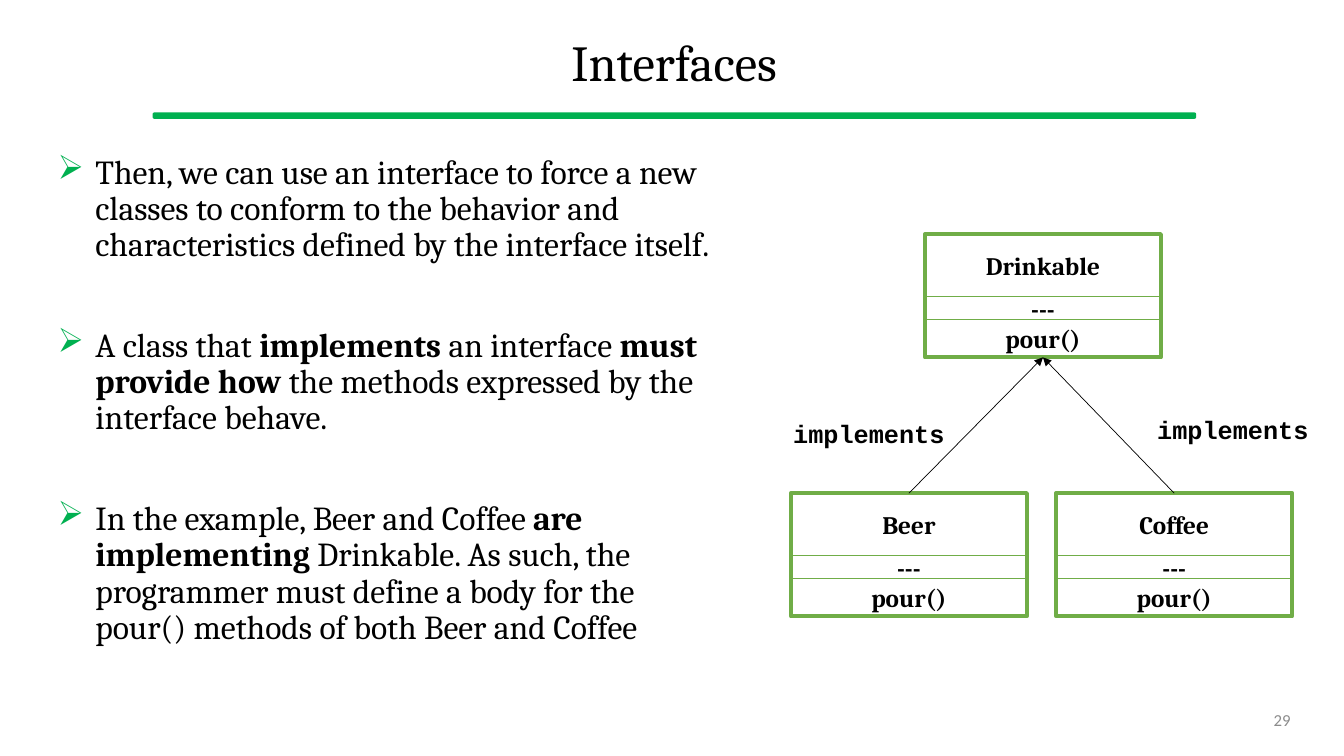
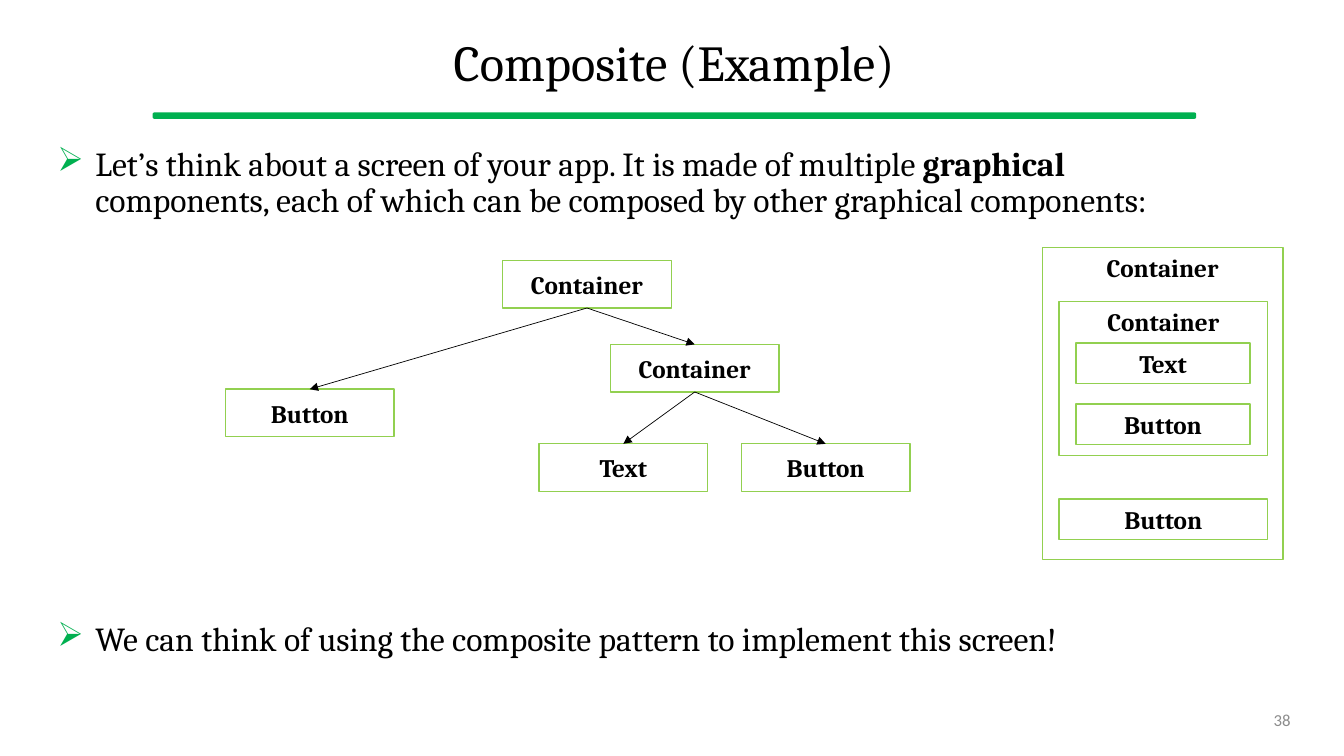
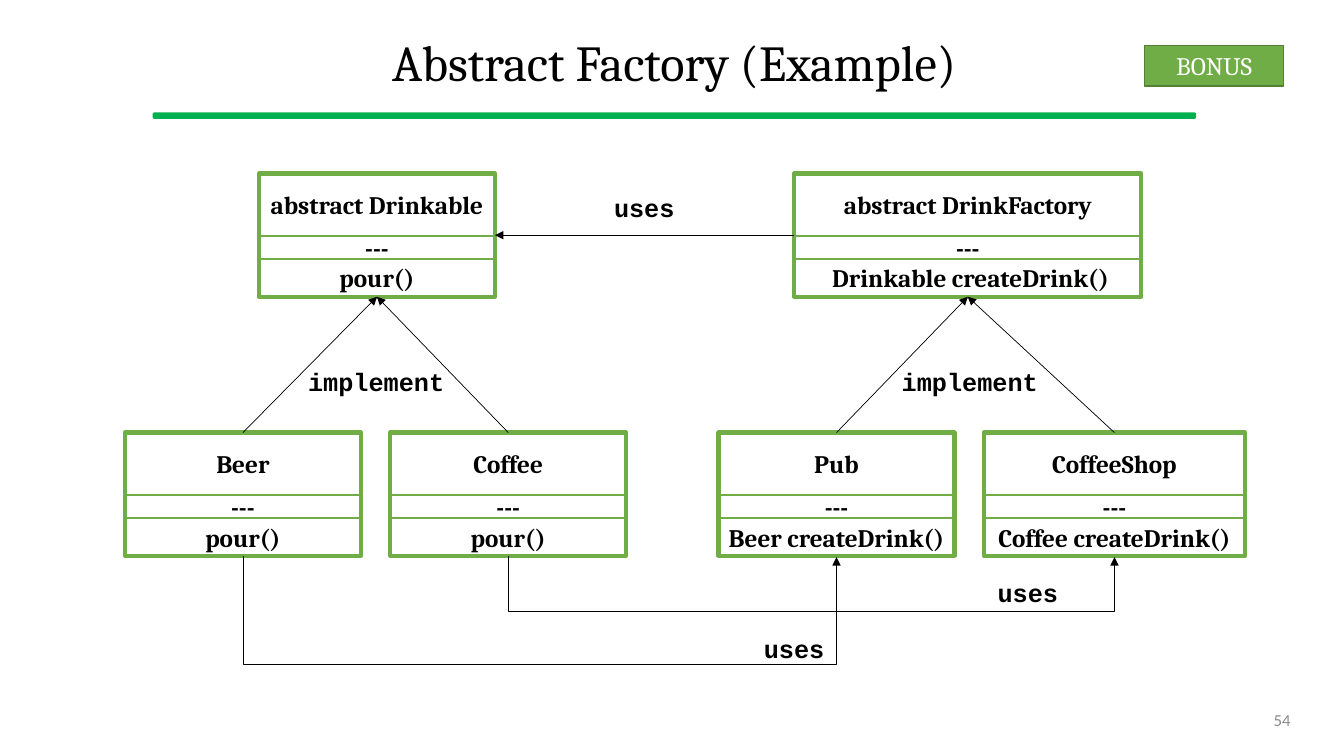
from pptx import Presentation
from pptx.dml.color import RGBColor
from pptx.enum.shapes import MSO_CONNECTOR as Wire, MSO_SHAPE as Geo
from pptx.enum.text import MSO_ANCHOR as Anchor, PP_ALIGN as Align
from pptx.oxml import parse_xml
from pptx.oxml.ns import nsdecls, qn
from pptx.util import Pt

INK, WHITE, GRAY = "000000", "FFFFFF", "8C8C8C"
GREEN, LEAF, LIME, MOSS = "00B050", "70AD47", "92D050", "538035"
SERIF = "Cambria"
ROWS = [(0, 44.6), (44.6, 16.4), (61, 27)]
CLASS_H, CLASS_W = 88, 168.5
NODE = (120.5, 34)


def rgb(code):
    """Turn a hex string into a colour."""
    return RGBColor.from_string(code)


def apply(target, **vals):
    """Set each given attribute on the target."""
    for key, val in vals.items():
        setattr(target, key, val)


def type_in(para, text, size=18, face=SERIF, ink=INK, bold=False):
    """Add a formatted run to a paragraph."""
    run = para.add_run()
    run.text = text
    apply(run.font, size=Pt(size), name=face, bold=bold)
    run.font.color.rgb = rgb(ink)


def add_xml(node, tag, attrs="", inner=""):
    """Append a drawing element to a node."""
    node.append(parse_xml(f'<a:{tag} {nsdecls("a")} {attrs}>{inner}</a:{tag}>'))


def rect(slide, box, text="", edge=LEAF, wide=1, fill=None, ink=INK,
         bold=True, anchor=Anchor.MIDDLE, geo=Geo.RECTANGLE):
    """Draw an outlined shape with centred text."""
    shape = slide.shapes.add_shape(geo, *map(Pt, box))
    shape.shadow.inherit = False
    if fill:
        shape.fill.solid()
        shape.fill.fore_color.rgb = rgb(fill)
    else:
        shape.fill.background()
    shape.line.color.rgb = rgb(edge)
    shape.line.width = Pt(wide)
    if text:
        frame = shape.text_frame
        apply(frame, word_wrap=True, vertical_anchor=anchor,
              margin_left=0, margin_right=0)
        frame.paragraphs[0].alignment = Align.CENTER
        type_in(frame.paragraphs[0], text, ink=ink, bold=bold)
    return shape


def label(slide, x, y, text):
    """Place a code-style caption."""
    frame = slide.shapes.add_textbox(Pt(x), Pt(y), Pt(123), Pt(29)).text_frame
    frame.word_wrap = False
    type_in(frame.paragraphs[0], text, face="Courier New", bold=True)


def arrow(line):
    """Give a connector its thin black line and arrowhead."""
    line.line.color.rgb = rgb(INK)
    line.line.width = Pt(0.5)
    props = line._element.spPr
    add_xml(props.find(qn("a:ln")), "tailEnd", 'type="triangle"')
    add_xml(props, "effectLst")


def link(slide, start, out, end, into):
    """Join two shapes at the given connection sites."""
    line = slide.shapes.add_connector(Wire.STRAIGHT, 0, 0, 0, 0)
    line.begin_connect(start, out)
    line.end_connect(end, into)
    arrow(line)


def loop(slide, start, end, drop):
    """Run an elbow arrow under two boxes, a drop below their bottoms."""
    left, right = (box.left + box.width // 2 for box in (start, end))
    low, rise = start.top + start.height, Pt(1)
    mid, half = (left + right) // 2, (right - left) // 2
    line = slide.shapes.add_connector(
        Wire.ELBOW, mid + rise // 2, low + rise // 2 - half,
        mid - rise // 2, low + rise // 2 + half)
    line.rotation = 270
    geom = line._element.spPr.find(qn("a:prstGeom"))
    add_xml(geom.find(qn("a:avLst")), "gd",
            f'name="adj1" fmla="val {drop * 100000}"')
    arrow(line)


def class_box(slide, x, y, name, job, wide=CLASS_W):
    """Draw a class with its name, fields and method rows."""
    for (top, high), text in zip(ROWS, (name, "---", job)):
        rect(slide, (x, y + top, wide, high), text, fill=WHITE)
    return rect(slide, (x, y, wide, CLASS_H), wide=3)


def family(slide, x, y, base, kids, mid=180, wide=CLASS_W):
    """Draw a base class above two classes that point up to it."""
    top = class_box(slide, x + mid - wide / 2, y, *base, wide)
    low = [class_box(slide, x + 189.5 * i, y + 185, *kid)
           for i, kid in enumerate(kids)]
    for kid in low:
        link(slide, kid, 0, top, 2)
    return top, low


def bullets(slide, box, items, gap):
    """Fill a box with bulleted paragraphs of plain and bold parts."""
    frame = slide.shapes.add_textbox(*map(Pt, box)).text_frame
    frame.word_wrap = True
    for i, parts in enumerate(items):
        para = frame.add_paragraph() if i else frame.paragraphs[0]
        props = para._p.get_or_add_pPr()
        props.set("marL", str(Pt(27)))
        props.set("indent", str(-Pt(27)))
        add_xml(props, "buClr", inner=f'<a:srgbClr val="{GREEN}"/>')
        add_xml(props, "buChar", 'char="➢"')
        apply(para, line_spacing=0.9, space_before=Pt(gap if i else 0))
        for j, text in enumerate(parts):
            type_in(para, text, 24, bold=j % 2 == 1)


def page(deck, title, number):
    """Start a slide with its title, green bar and number."""
    slide = deck.slides.add_slide(deck.slide_layouts[5])
    bar = rect(slide, (109.5, 80.8, 744.5, 3.6), edge=GREEN, fill=GREEN,
               geo=Geo.ROUNDED_RECTANGLE)
    bar.adjustments[0] = 0.26
    head = slide.shapes.title
    apply(head, left=Pt(34), top=Pt(13), width=Pt(895), height=Pt(67.5))
    foot = slide.shapes.add_textbox(Pt(678), Pt(500.5), Pt(251), Pt(29))
    for shape, text, side, look in (
            (head, title, Align.CENTER, dict(size=36)),
            (foot, number, Align.RIGHT,
             dict(size=12, face="Calibri", ink=GRAY))):
        frame = shape.text_frame
        apply(frame, word_wrap=True, vertical_anchor=Anchor.MIDDLE)
        para = frame.paragraphs[0]
        apply(para, alignment=side, line_spacing=0.9)
        type_in(para, text, **look)
    return slide


def screen(slide, x, y):
    """Draw the nested screen layout."""
    for dx, dy, wide, high, text in (
            (0, 0, 172, 222.5, "Container"),
            (12, 38.5, 149, 110, "Container"),
            (12, 179.5, 149, 29, "Button"),
            (24, 111.5, 124.5, 29, "Button"),
            (24, 68, 124.5, 29, "Text")):
        side = Anchor.TOP if text == "Container" else Anchor.MIDDLE
        rect(slide, (x + dx, y + dy, wide, high), text, LIME, anchor=side)


def tree(slide, x, y):
    """Draw the component tree."""
    nodes = [rect(slide, (x + dx, y + dy, *NODE), text, LIME)
             for dx, dy, text in (
                 (198, 0, "Container"), (275, 60, "Container"),
                 (224, 131, "Text"), (368.5, 131, "Button"),
                 (0, 92, "Button"))]
    for start, end in ((0, 4), (1, 2), (1, 3), (0, 1)):
        link(slide, nodes[start], 2, nodes[end], 0)


def interfaces(deck):
    """Build the interface slide."""
    slide = page(deck, "Interfaces", "29")
    bullets(slide, (34, 107.3, 494, 420), [
        ["Then, we can use an interface to force a new classes to conform to "
         "the behavior and characteristics defined by the interface itself."],
        ["A class that ", "implements ", "an interface ", "must provide how ",
         "the methods expressed by the interface behave."],
        ["In the example, Beer and Coffee ", "are implementing ",
         "Drinkable. As such, the programmer must define a body for the "
         "pour() methods of both Beer and Coffee"]], 46)
    family(slide, 565, 167.3, ("Drinkable", "pour()"),
           [("Beer", "pour()"), ("Coffee", "pour()")])
    label(slide, 559.5, 295.5, "implements")
    label(slide, 819.5, 292.5, "implements")


def composite(deck):
    """Build the composite slide."""
    slide = page(deck, "Composite (Example)", "38")
    bullets(slide, (34, 101.5, 823, 423), [
        ["Let’s think about a screen of your app. It is made of multiple ",
         "graphical", " components, each of which can be composed by other "
         "graphical components:"],
        ["We can think of using the composite pattern to implement this "
         "screen!"]], 288)
    screen(slide, 744.5, 177)
    tree(slide, 161, 186)


def factory(deck):
    """Build the abstract factory slide."""
    slide = page(deck, "Abstract Factory (Example)", "54")
    drink, (beer, coffee) = family(
        slide, 89.3, 124, ("abstract Drinkable", "pour()"),
        [("Beer", "pour()"), ("Coffee", "pour()")])
    maker, (pub, shop) = family(
        slide, 513.3, 124,
        ("abstract DrinkFactory", " Drinkable createDrink()"),
        [("Pub", "Beer createDrink()"),
         ("CoffeeShop", "Coffee createDrink()", 186.5)], 178, 248)
    link(slide, maker, 1, drink, 3)
    loop(slide, coffee, shop, 40)
    loop(slide, beer, pub, 78)
    for x, y, text in ((213, 258, "implement"), (637, 258, "implement"),
                       (431.5, 134, "uses"), (705.5, 409, "uses"),
                       (538.5, 449, "uses")):
        label(slide, x, y, text)
    rect(slide, (817.5, 32.4, 99.5, 29), "BONUS", MOSS, fill=LEAF, ink=WHITE,
         bold=False)


def main():
    """Build and save the deck."""
    deck = Presentation()
    apply(deck, slide_width=Pt(960), slide_height=Pt(540))
    for build in (interfaces, composite, factory):
        build(deck)
    deck.save("out.pptx")


if __name__ == "__main__":
    main()
